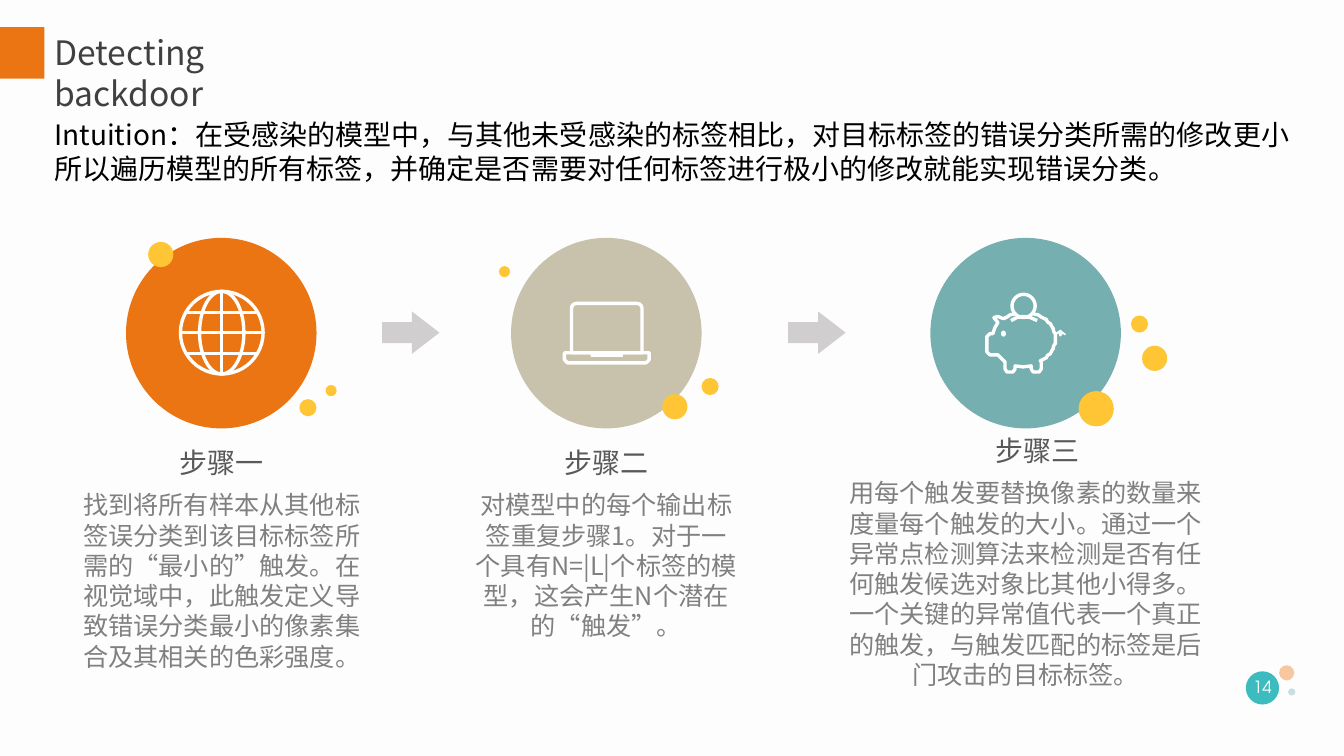
from collections import namedtuple
from math import cos, radians, sin, sqrt

from lxml import etree
from pptx import Presentation
from pptx import util as u
from pptx.dml.color import RGBColor
from pptx.enum import shapes, text
from pptx.oxml.ns import qn

PX = 9144  # 100 px to the inch
ORANGE = RGBColor(0xEB, 0x75, 0x13)
SAND = RGBColor(0xC8, 0xC2, 0xAC)
TEAL = RGBColor(0x76, 0xAF, 0xAF)
YELLOW = RGBColor(0xFF, 0xC5, 0x35)
ARROW_GREY = RGBColor(0xD0, 0xCE, 0xCE)
PAPER = RGBColor(0xFD, 0xFD, 0xFD)
WHITE = RGBColor(0xFF, 0xFF, 0xFF)
BLACK = RGBColor(0x00, 0x00, 0x00)
TITLE_GREY = RGBColor(0x40, 0x40, 0x40)
HEADING_GREY = RGBColor(0x59, 0x59, 0x59)
TEXT_GREY = RGBColor(0x80, 0x80, 0x80)
BADGE = RGBColor(0x3D, 0xBC, 0xC0)
PEACH = RGBColor(0xF7, 0xC8, 0xA0)
MIST = RGBColor(0xC8, 0xDF, 0xDF)
CJK, NUMERALS = "Noto Sans CJK SC", "TeX Gyre Adventor"
STROKE = u.Pt(2.4)
KIND = shapes.MSO_SHAPE
ALIGN = text.PP_ALIGN


class Box(namedtuple("Box", "x y w h")):
    def inner(self, dx, dy, w, h):
        """Box of the given size, offset from this one's corner."""
        return Box(self.x + dx, self.y + dy, w, h)

    def emu(self):
        return [u.Emu(value * PX) for value in self]


def paint(shape, fill=None, line=None):
    shape.shadow.inherit = False
    if fill is None:
        shape.fill.background()
    else:
        shape.fill.solid()
        shape.fill.fore_color.rgb = fill
    if line is None:
        shape.line.fill.background()
    else:
        shape.line.color.rgb = line
        shape.line.width = STROKE
    return shape


def add_preset(page, kind, box, fill=None, line=None):
    return paint(page.shapes.add_shape(kind, *box.emu()), fill, line)


def add_outline(page, box, points, close=True):
    """White stroke through points given relative to the box."""
    (x, y), *rest = [(box.x + dx, box.y + dy) for dx, dy in points]
    builder = page.shapes.build_freeform(x, y, scale=PX)
    builder.add_line_segments(rest, close=close)
    return paint(builder.convert_to_shape(), line=WHITE)


def add_stroke(page, box, x1, y1, x2, y2):
    ends = [u.Emu(round(v * PX)) for v in (box.x + x1, box.y + y1, box.x + x2, box.y + y2)]
    line = page.shapes.add_connector(shapes.MSO_CONNECTOR.STRAIGHT, *ends)
    line.line.color.rgb = WHITE
    line.line.width = STROKE
    etree.SubElement(line._element.spPr, qn("a:effectLst"))


def write(shape, lines, size, color, align=ALIGN.LEFT, font=CJK, anchor=text.MSO_ANCHOR.TOP):
    frame = shape.text_frame
    frame_format = dict(word_wrap=True, auto_size=text.MSO_AUTO_SIZE.NONE, vertical_anchor=anchor,
                        margin_left=10 * PX, margin_right=10 * PX,
                        margin_top=5 * PX, margin_bottom=5 * PX)
    for name, value in frame_format.items():
        setattr(frame, name, value)
    for index, line in enumerate(lines):
        para = frame.add_paragraph() if index else frame.paragraphs[0]
        para_format = dict(alignment=align, line_spacing=u.Pt(size * 1.2),
                           space_before=u.Pt(0), space_after=u.Pt(0))
        for name, value in para_format.items():
            setattr(para, name, value)
        span = para.add_run()
        span.text = line
        span.font.size, span.font.name = u.Pt(size), font
        span.font.color.rgb = color
        etree.SubElement(span.font._element, qn("a:ea"), typeface=font)


def add_text(page, box, *args, **kwargs):
    write(page.shapes.add_textbox(*box.emu()), *args, **kwargs)


def draw_globe(page, disc, color):
    radius, middle = 41, 95
    for left, width in ((54, 2 * radius), (73, 44)):
        add_preset(page, KIND.OVAL, disc.inner(left, 53, width, 2 * radius), line=WHITE)
    add_stroke(page, disc, middle, 53, middle, 135)
    for rise in (-20, 0, 21):
        chord = sqrt(radius ** 2 - rise ** 2)
        add_stroke(page, disc, middle - chord, 94 + rise, middle + chord, 94 + rise)


def draw_laptop(page, disc, color):
    screen = add_preset(page, KIND.ROUND_2_SAME_RECTANGLE, disc.inner(60, 65, 70, 49), line=WHITE)
    screen.adjustments[0] = 0.1
    add_outline(page, disc, [(53, 114), (137, 114), (137, 121), (134, 124), (56, 124), (53, 121)])
    add_preset(page, KIND.ROUNDED_RECTANGLE, disc.inner(79, 114, 32, 4), WHITE)


def draw_piggy_bank(page, disc, color):
    head = [(56, 98), (59, 95), (62, 95), (64, 89), (67, 84), (63, 79), (67, 78), (72, 80)]
    back = [(93 + 31 * cos(radians(a)), 100 + 26 * sin(radians(a))) for a in range(-130, 59, 4)]
    legs = [(110, 123), (110, 130), (108, 133), (102, 133), (100, 130), (100, 127), (92, 128),
            (84, 127), (84, 130), (82, 133), (76, 133), (74, 130), (74, 123)]
    snout = [(70, 119), (67, 116), (59, 116), (56, 113)]
    tail = [(125, 95), (129, 92), (131, 94), (129, 97), (128, 95), (131, 94), (134, 96)]
    slot = [(80, 82), (86, 79), (92, 78), (99, 79), (106, 82)]
    add_outline(page, disc, head + back + legs + snout)
    add_preset(page, KIND.OVAL, disc.inner(81, 56, 23, 23), color, WHITE)
    add_outline(page, disc, slot, close=False)
    add_outline(page, disc, tail, close=False).line.width = u.Pt(1.25)
    add_preset(page, KIND.OVAL, disc.inner(70, 92, 5, 6), WHITE)


def add_step(page, disc, color, draw_icon, dots, caption, heading_shift, heading, body):
    add_preset(page, KIND.OVAL, disc, color)
    draw_icon(page, disc, color)
    add_text(page, caption.inner(heading_shift, 0, caption.w, 44), [heading], 20,
             HEADING_GREY, ALIGN.CENTER)
    add_text(page, caption.inner(0, 44, caption.w, caption.h - 44), [body], 18,
             TEXT_GREY, ALIGN.CENTER)
    for dx, dy, size in dots:
        add_preset(page, KIND.OVAL, disc.inner(dx, dy, size, size), YELLOW)


def add_header(page, box):
    add_preset(page, KIND.RECTANGLE, box.inner(0, 0, 44, 51), ORANGE)
    title = page.shapes.title
    title.left, title.top, title.width, title.height = box.inner(44, 0, 190, 90).emu()
    write(title, ["Detecting backdoor"], 24, TITLE_GREY)
    add_text(page, box.inner(44, 85, 1268, 77), [
        "Intuition：在受感染的模型中，与其他未受感染的标签相比，对目标标签的错误分类所需的修改更小",
        "所以遍历模型的所有标签，并确定是否需要对任何标签进行极小的修改就能实现错误分类。"], 20, BLACK)


def add_page_number(page, box):
    for dx, dy, size, color in ((7, 6, 33, BADGE), (40, 0, 15, PEACH), (49, 23, 7, MIST)):
        add_preset(page, KIND.OVAL, box.inner(dx, dy, size, size), color)
    add_text(page, box.inner(0, 1, 47, 40), ["14"], 12, WHITE, ALIGN.CENTER, NUMERALS,
             text.MSO_ANCHOR.MIDDLE)


def main():
    deck = Presentation()
    deck.slide_width, deck.slide_height = u.Emu(12192000), u.Emu(750 * PX)
    page = deck.slides.add_slide(deck.slide_layouts[5])
    page.background.fill.solid()
    page.background.fill.fore_color.rgb = PAPER
    add_page_number(page, Box(1229, 660, 56, 41))
    add_header(page, Box(0, 27, 1312, 162))
    for left in (379, 782):
        arrow = add_preset(page, KIND.RIGHT_ARROW, Box(left, 309, 57, 42), ARROW_GREY)
        arrow.adjustments[0], arrow.adjustments[1] = 0.5, 0.65
    steps = [
        (125, ORANGE, draw_globe, [(22, 4, 25), (198, 146, 11), (172, 160, 17)],
         Box(61, 437, 318, 236), 0, "步骤一",
         "找到将所有样本从其他标签误分类到该目标标签所需的“最小的”触发。在视觉域中，"
         "此触发定义导致错误分类最小的像素集合及其相关的色彩强度。"),
        (507, SAND, draw_laptop, [(150, 155, 25), (-12, 28, 11), (189, 139, 17)],
         Box(461, 437, 281, 206), 0, "步骤二",
         "对模型中的每个输出标签重复步骤1。对于一个具有N=|L|个标签的模型，"
         "这会产生N个潜在的“触发”。"),
        (923, TEAL, draw_piggy_bank, [(210, 107, 25), (147, 152, 35), (199, 77, 17)],
         Box(822, 425, 391, 266), 12, "步骤三",
         "用每个触发要替换像素的数量来度量每个触发的大小。通过一个异常点检测算法来检测"
         "是否有任何触发候选对象比其他小得多。一个关键的异常值代表一个真正的触发，"
         "与触发匹配的标签是后门攻击的目标标签。"),
    ]
    for left, *details in steps:
        add_step(page, Box(left, 236, 189, 189), *details)
    deck.save("out.pptx")


if __name__ == "__main__":
    main()
